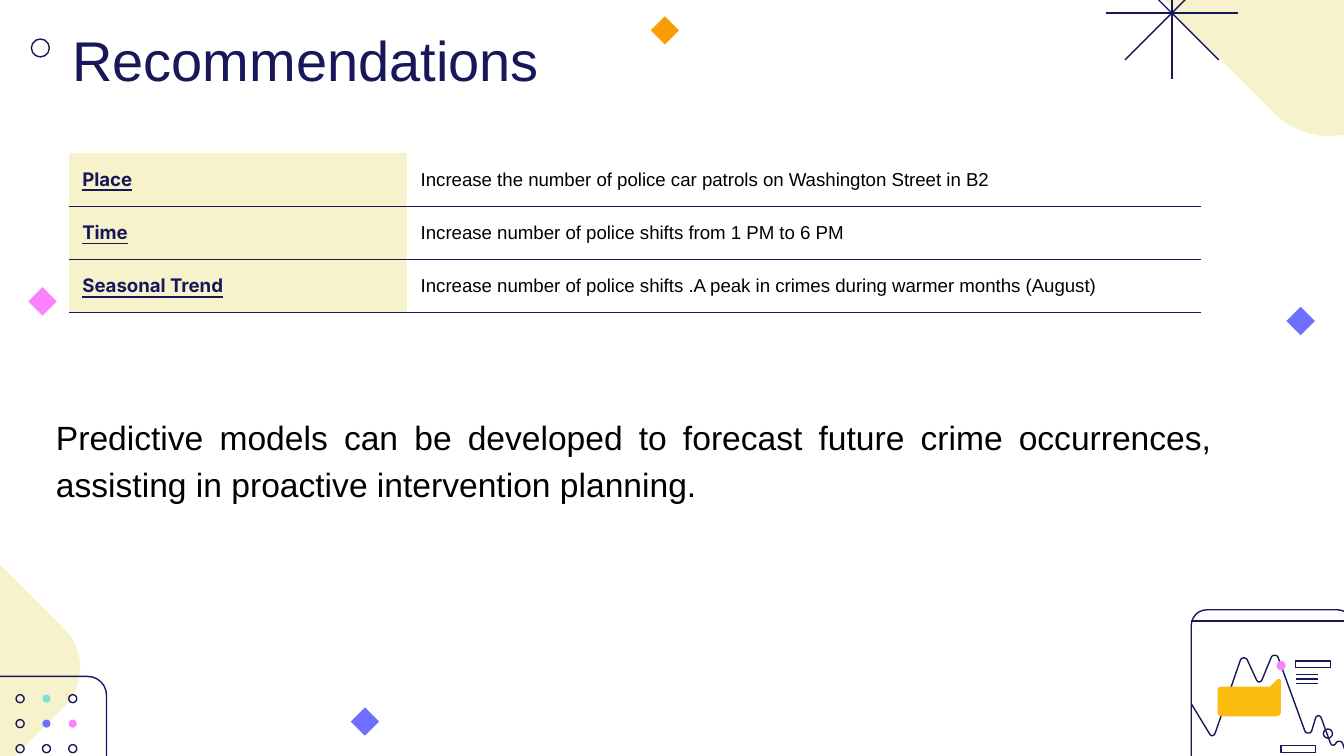
from dataclasses import dataclass

import pptx
import pptx.dml.color
import pptx.enum.shapes
import pptx.enum.text
import pptx.oxml
import pptx.oxml.ns
import pptx.util

Pt = pptx.util.Pt
Kind = pptx.enum.shapes.MSO_SHAPE
Anchor = pptx.enum.text.MSO_ANCHOR
Align = pptx.enum.text.PP_ALIGN


@dataclass(frozen=True)
class Theme:
    navy: str = "17175A"
    cream: str = "F6F2CC"
    black: str = "000000"
    pink: str = "FC81FD"
    violet: str = "6E6FFF"
    orange: str = "FA9D02"
    yellow: str = "FCBD0E"
    mint: str = "7CE1CF"
    sans: str = "Arial"
    label: str = "Inter"
    title_size: float = 30
    body_size: float = 18
    table_size: float = 10
    stroke: float = 0.75
    plain_table: str = "{2D5ABB26-0587-4C30-8999-92F81FD0307C}"


def rgb(value):
    return pptx.dml.color.RGBColor.from_string(value)


def flatten(start, segments, steps=10):
    """Turn line ends (x, y) and cubic curves (six numbers) into points."""
    points = [start]
    for segment in segments:
        if len(segment) == 2:
            points.append(segment)
            continue
        x0, y0 = points[-1]
        x1, y1, x2, y2, x3, y3 = segment
        for step in range(1, steps + 1):
            t = step / steps
            u = 1 - t
            a, b, c, d = u**3, 3 * u * u * t, 3 * u * t * t, t**3
            points.append((a * x0 + b * x1 + c * x2 + d * x3,
                           a * y0 + b * y1 + c * y2 + d * y3))
    return points


class Painter:
    def __init__(self, slide, theme):
        self.slide = slide
        self.theme = theme

    def paint(self, shape, fill):
        """Fill the shape, or outline it when no fill is given."""
        shape.shadow.inherit = False
        if fill:
            shape.fill.solid()
            shape.fill.fore_color.rgb = rgb(fill)
            shape.line.fill.background()
        else:
            shape.fill.background()
            shape.line.color.rgb = rgb(self.theme.navy)
            shape.line.width = Pt(self.theme.stroke)

    def preset(self, kind, x, y, w, h, fill=None, radius=None, turn=0):
        shape = self.slide.shapes.add_shape(kind, Pt(x), Pt(y), Pt(w), Pt(h))
        if radius:
            shape.adjustments[0] = radius / min(w, h)
        shape.rotation = turn
        self.paint(shape, fill)

    def centred(self, kind, cx, cy, size, fill=None, radius=None, turn=0):
        self.preset(kind, cx - size / 2, cy - size / 2, size, size, fill, radius, turn)

    def outline(self, start, segments, fill=None, close=True):
        points = [(Pt(x), Pt(y)) for x, y in flatten(start, segments)]
        builder = self.slide.shapes.build_freeform(*points[0])
        builder.add_line_segments(points[1:], close=close)
        self.paint(builder.convert_to_shape(), fill)

    def line(self, x1, y1, x2, y2):
        connector = self.slide.shapes.add_connector(
            pptx.enum.shapes.MSO_CONNECTOR.STRAIGHT, Pt(x1), Pt(y1), Pt(x2), Pt(y2))
        connector.line.color.rgb = rgb(self.theme.navy)
        connector.line.width = Pt(self.theme.stroke)
        connector._element.spPr.append(pptx.oxml.parse_xml(
            f"<a:effectLst {pptx.oxml.ns.nsdecls('a')}/>"))

    def style(self, paragraph, size, color, face, strong=False):
        font = paragraph.font
        font.size, font.name = Pt(size), face
        font.color.rgb = rgb(color)
        font.bold = font.underline = strong

    def text(self, words, x, y, w, h, size, color, inset_y, align=Align.LEFT, spacing=1.0):
        frame = self.slide.shapes.add_textbox(Pt(x), Pt(y), Pt(w), Pt(h)).text_frame
        frame.word_wrap = True
        frame.margin_left = frame.margin_right = Pt(7.2)
        frame.margin_top = frame.margin_bottom = Pt(inset_y)
        paragraph = frame.paragraphs[0]
        paragraph.text = words
        paragraph.alignment = align
        paragraph.line_spacing = spacing
        self.style(paragraph, size, color, self.theme.sans)

    def table(self, rows, x, y, widths, row_height):
        theme = self.theme
        table = self.slide.shapes.add_table(
            len(rows), len(widths), Pt(x), Pt(y),
            Pt(sum(widths)), Pt(row_height * len(rows))).table
        table.first_row = table.horz_banding = False
        table._tbl.tblPr[0].text = theme.plain_table
        for column, width in zip(table.columns, widths):
            column.width = Pt(width)
        for r, row in enumerate(rows):
            table.rows[r].height = Pt(row_height)
            for c, words in enumerate(row):
                heading = c == 0
                cell = table.cell(r, c)
                cell.vertical_anchor = Anchor.MIDDLE
                cell.margin_left = cell.margin_right = Pt(7.2)
                cell.margin_top = cell.margin_bottom = 0
                paragraph = cell.text_frame.paragraphs[0]
                paragraph.text = words
                if heading:
                    cell.fill.solid()
                    cell.fill.fore_color.rgb = rgb(theme.cream)
                    self.style(paragraph, theme.table_size, theme.navy, theme.label, True)
                else:
                    cell.fill.background()
                    self.style(paragraph, theme.table_size, theme.black, theme.sans)
                cell._tc.get_or_add_tcPr().insert(0, pptx.oxml.parse_xml(
                    f'<a:lnB {pptx.oxml.ns.nsdecls("a")} w="{Pt(theme.stroke)}"><a:solidFill>'
                    f'<a:srgbClr val="{theme.navy}"/></a:solidFill></a:lnB>'))


def main():
    deck = pptx.Presentation()
    deck.slide_width, deck.slide_height = Pt(720), Pt(405)
    theme = Theme()
    draw = Painter(deck.slides.add_slide(deck.slide_layouts[6]), theme)

    # Cream corners
    draw.centred(Kind.ROUNDED_RECTANGLE, 712.4, -19.8, 155.8, theme.cream, 42.3, 45)
    draw.outline((-14.4, 291.6), [
        (-10.1, 293, -6.5, 295.2, -3.6, 298.8), (33.8, 336.2),
        (46.1, 347.8, 46.1, 367.9, 33.8, 379.4), (-3.6, 416.9),
        (-6.5, 420.5, -10.1, 422.6, -14.4, 424.1)], theme.cream)

    # Star
    star_x, star_y, arm, diagonal = 627.8, 7, 35.5, 25.1
    for dx, dy in ((0, arm), (arm, 0), (diagonal, -diagonal), (diagonal, diagonal)):
        draw.line(star_x - dx, star_y - dy, star_x + dx, star_y + dy)

    # Scattered diamonds and ring
    for x, y, color in ((22.8, 161.5, theme.pink), (195.5, 386.6, theme.violet),
                        (356.2, 16.3, theme.orange), (696.8, 172, theme.violet)):
        draw.centred(Kind.DIAMOND, x, y, 15.2, color)
    draw.centred(Kind.OVAL, 21.6, 25.7, 9.6)

    # Title and recommendations
    draw.text("Recommendations", 31.7, 3.6, 607, 45.4, theme.title_size, theme.navy, 10)
    draw.table([
        ("Place", "Increase the number of police car patrols on Washington Street in B2"),
        ("Time", "Increase number of police shifts from 1 PM to 6 PM"),
        ("Seasonal Trend", "Increase number of police shifts .A peak in crimes "
                           "during warmer months (August)"),
    ], 36.9, 82, (181.3, 425.3), 28.5)

    # Chart window: labels, frame, curve, markers and callout
    for x, y in ((694.1, 354.2), (686.2, 399.4)):
        draw.preset(Kind.RECTANGLE, x, y, 18.7, 3.6)
    for row in range(3):
        y = 361.3 + 2.5 * row
        draw.line(694.3, y, 706, y)
    left, right = 638.2, 725
    draw.preset(Kind.ROUNDED_RECTANGLE, left, 326.7, right - left, 97.2, radius=8.4)
    turns = [(648, 650.9, 393.1, 1.4), (664.6, 668.2, 353.5, -1.4),
             (673.2, 676.1, 364.3, 1.4), (681.1, 684.7, 352.1, -1.4),
             (699.1, 702.7, 391.7, 1.4), (704.9, 707.8, 384.5, -1.4),
             (712.8, 715.7, 398.2, 1.4), (715.7, 719.3, 398.2, -1.4)]
    curve = []
    for x1, x2, y, bulge in turns:
        curve += [(x1, y), (x1 + 0.7, y + bulge, x2 - 0.7, y + bulge, x2, y)]
    draw.outline((left, 377), curve + [(right, 414.7)], close=False)
    draw.centred(Kind.OVAL, 686.3, 356.6, 4.9, theme.pink)
    draw.centred(Kind.OVAL, 711.4, 393, 4.9)
    draw.outline((684, 364.3), [
        (680.4, 367.9), (654.5, 367.9), (653.1, 367.9, 652.3, 368.6, 652.3, 370.1),
        (652.3, 381.6), (652.3, 383, 653.1, 383.8, 654.5, 383.8),
        (683.3, 383.8), (684.7, 383.8, 686.2, 383, 686.2, 381.6),
        (686.2, 365), (686.2, 363.6, 684.7, 363.6, 684, 364.3)], theme.yellow)
    draw.line(left, 332.7, right, 332.7)

    # Dotted card
    draw.preset(Kind.ROUNDED_RECTANGLE, -20.9, 362.4, 78, 65.2, radius=10.1)
    dots = [(None, theme.mint, None), (None, theme.violet, theme.pink), (None, None, None)]
    for row, colors in enumerate(dots):
        for column, color in enumerate(colors):
            draw.centred(Kind.OVAL, 10.8 + 14.1 * column, 374.3 + 13.4 * row, 4.3, color)

    # Closing statement
    draw.text("Predictive models can be developed to forecast future crime occurrences, "
              "assisting in proactive intervention planning.",
              22.9, 216.7, 633.4, 55.4, theme.body_size, theme.black, 3.6,
              Align.JUSTIFY, 1.15)

    deck.save("out.pptx")


if __name__ == "__main__":
    main()
